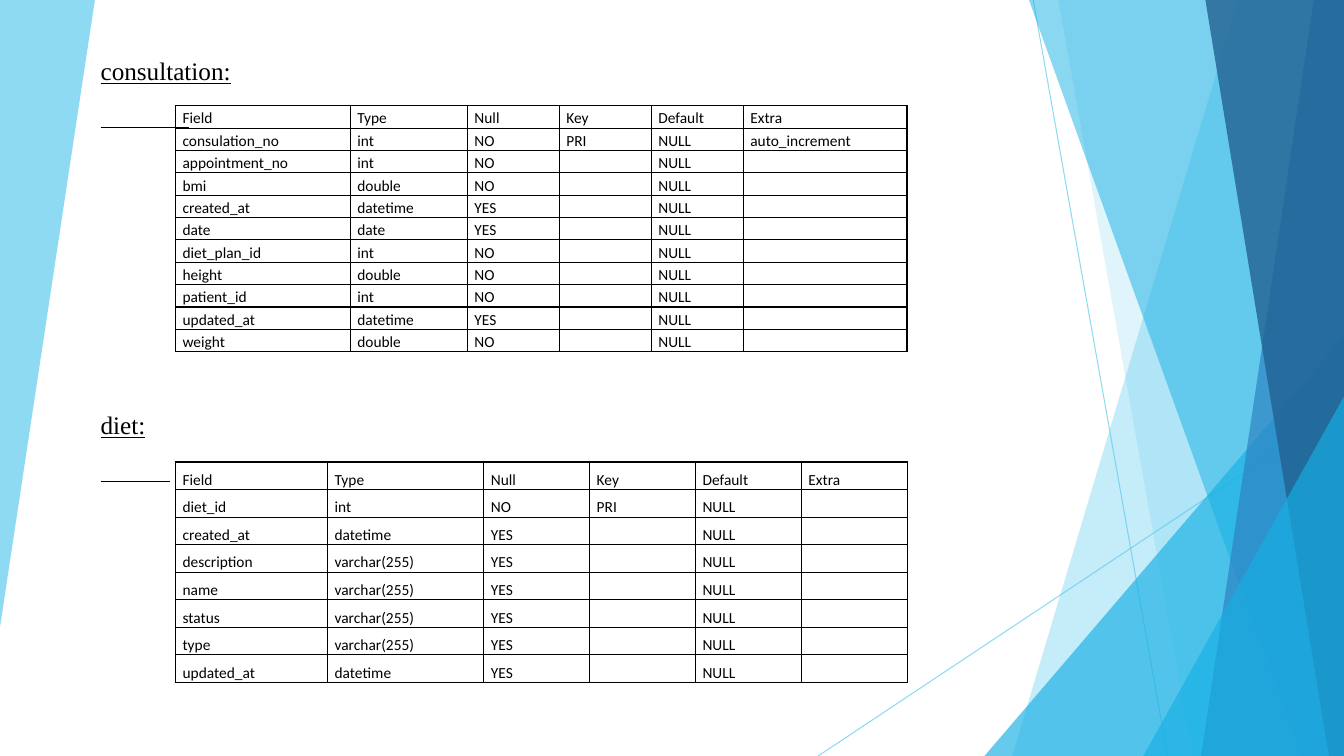
from lxml.etree import SubElement
from pptx import Presentation
from pptx.dml.color import RGBColor
from pptx.enum.shapes import MSO_CONNECTOR, MSO_SHAPE
from pptx.enum.text import MSO_ANCHOR
from pptx.oxml.ns import qn
from pptx.util import Inches, Pt

COLUMNS, ROWS = 160, 90
HEADER = ("Field", "Type", "Null", "Key", "Default", "Extra")
CONSULTATION = [
    ("consulation_no", "int", "NO", "PRI", "auto_increment"),
    ("appointment_no", "int", "NO"),
    ("bmi", "double", "NO"),
    ("created_at", "datetime", "YES"),
    ("date", "date", "YES"),
    ("diet_plan_id", "int", "NO"),
    ("height", "double", "NO"),
    ("patient_id", "int", "NO"),
    ("updated_at", "datetime", "YES"),
    ("weight", "double", "NO"),
]
DIET = [
    ("diet_id", "int", "NO", "PRI"),
    ("created_at", "datetime", "YES"),
    ("description", "varchar(255)", "YES"),
    ("name", "varchar(255)", "YES"),
    ("status", "varchar(255)", "YES"),
    ("type", "varchar(255)", "YES"),
    ("updated_at", "datetime", "YES"),
]
HEADING_FONT = {"name": "Times New Roman", "size": Pt(18), "underline": True}
CELL_FONT = {"name": "Calibri", "size": Pt(11)}
CELL_FORMAT = {
    "vertical_anchor": MSO_ANCHOR.BOTTOM,
    "margin_left": Inches(0.07),
    "margin_right": Inches(0.07),
    "margin_top": 0,
    "margin_bottom": 0,
}


def grid(*units):
    """Turn grid units of a twelfth of an inch into lengths."""
    return [Inches(unit / 12) for unit in units]


def paint(color_format, color, opacity=100):
    """Set a colour from a hex string, with an opacity in percent."""
    color_format.rgb = RGBColor.from_string(color)
    if opacity < 100:
        for node in color_format._xFill.iter(qn("a:srgbClr")):
            SubElement(node, qn("a:alpha"), val=str(opacity * 1000))


def apply(target, values):
    """Set attributes from a dict of format values."""
    for name, value in values.items():
        setattr(target, name, value)


def fill_shape(shape, color, opacity):
    """Give a shape a translucent fill without outline or shadow."""
    shape.shadow.inherit = False
    shape.fill.solid()
    paint(shape.fill.fore_color, color, opacity)
    shape.line.fill.background()


def add_facet(page, points, color, opacity):
    """Draw a filled polygon through grid points."""
    corners = [tuple(grid(*point)) for point in points]
    builder = page.shapes.build_freeform(*corners[0])
    builder.add_line_segments(corners[1:], close=True)
    fill_shape(builder.convert_to_shape(), color, opacity)


def add_band(page, top, bottom, color, opacity):
    """Draw a full-height facet that reaches the right edge."""
    points = [(top, 0), (COLUMNS, 0), (COLUMNS, ROWS), (bottom, ROWS)]
    add_facet(page, points, color, opacity)


def add_corner(page, left, top, color, opacity):
    """Draw a right triangle in the lower right corner."""
    frame = grid(left, top, COLUMNS - left, ROWS - top)
    shape = page.shapes.add_shape(MSO_SHAPE.ISOSCELES_TRIANGLE, *frame)
    shape.adjustments[0] = 1
    fill_shape(shape, color, opacity)


def add_line(page, ends, color, width, opacity=100):
    """Draw a straight line between two grid points."""
    line = page.shapes.add_connector(MSO_CONNECTOR.STRAIGHT, *grid(*ends))
    line.line.width = Pt(width)
    line.line.fill.solid()
    paint(line.line.fill.fore_color, color, opacity)
    SubElement(line._element.spPr, qn("a:effectLst"))


def add_span(para, text, font):
    """Add a black run of text."""
    span = para.add_run()
    span.text = text
    apply(span.font, font)
    paint(span.font.color, "000000")


def add_heading(page, text, top, rule_end):
    """Write an underlined heading with a short rule below it."""
    box = page.shapes.add_textbox(*grid(10.8, top, 60, 4.5))
    box.text_frame.word_wrap = True
    add_span(box.text_frame.paragraphs[0], text, HEADING_FONT)
    rule = top + 9.2
    add_line(page, (12, rule, rule_end, rule), "000000", 0.75)


def add_borders(cell):
    """Draw black borders on all sides of a cell."""
    properties = cell._tc.get_or_add_tcPr()
    for side in ("lnL", "lnR", "lnT", "lnB"):
        border = SubElement(properties, qn(f"a:{side}"), w=str(Pt(1)))
        fill = SubElement(border, qn("a:solidFill"))
        SubElement(fill, qn("a:srgbClr"), val="000000")


def fill_cell(cell, text):
    """Format a cell and write its text."""
    apply(cell, CELL_FORMAT)
    add_borders(cell)
    cell.fill.background()
    para = cell.text_frame.paragraphs[0]
    para.line_spacing = 1.15
    if text:
        add_span(para, text, CELL_FONT)
    SubElement(para._p, qn("a:endParaRPr"), sz="1100")


def describe(field, kind, null, key="", extra=""):
    """Complete a field's row; every default is NULL."""
    return field, kind, null, key, "NULL", extra


def add_schema(page, fields, top, widths, row_height):
    """Draw a table that lists the fields of a schema."""
    rows = [HEADER, *(describe(*field) for field in fields)]
    frame = grid(20.9, top, sum(widths), row_height * len(rows))
    table = page.shapes.add_table(len(rows), len(widths), *frame).table
    apply(table, {"first_row": False, "horz_banding": False})
    for column, width in zip(table.columns, grid(*widths)):
        column.width = width
    for row, texts in zip(table.rows, rows):
        row.height = grid(row_height)[0]
        for cell, text in zip(row.cells, texts):
            fill_cell(cell, text)


def add_backdrop(page):
    """Draw the translucent facets and thin lines at the edges."""
    add_facet(page, [(0, 0), (11.3, 0), (0, 74.7)], "5FCBEF", 70)
    add_line(page, (123, 0, 139, ROWS), "5FCBEF", 0.75, 70)
    add_line(page, (COLUMNS, 48.4, 97.4, ROWS), "5FCBEF", 0.75, 70)
    add_band(page, 147.4, 120.5, "5FCBEF", 36)
    add_band(page, 126, 142, "5FCBEF", 20)
    add_corner(page, 117.2, 40, "17B0E4", 66)
    add_band(page, 122.5, 154.9, "17B0E4", 50)
    add_band(page, 156.4, 143, "2E83C3", 70)
    add_band(page, 143.5, 158.2, "226292", 80)
    add_corner(page, 136.1, 47.2, "17B0E4", 66)


def main():
    """Build the slide and save the deck."""
    deck = Presentation()
    deck.slide_width, deck.slide_height = grid(COLUMNS, ROWS)
    page = deck.slides.add_slide(deck.slide_layouts[6])
    add_backdrop(page)
    add_heading(page, "consultation:", 6, 22.5)
    add_heading(page, "diet:", 48.15, 20.3)
    add_schema(page, CONSULTATION, 12.6, [20.8, 13.95] + [10.95] * 3 + [19.5], 2.66)
    add_schema(page, DIET, 55, [18.1, 18.6] + [12.6] * 4, 3.28)
    deck.save("out.pptx")


if __name__ == "__main__":
    main()
